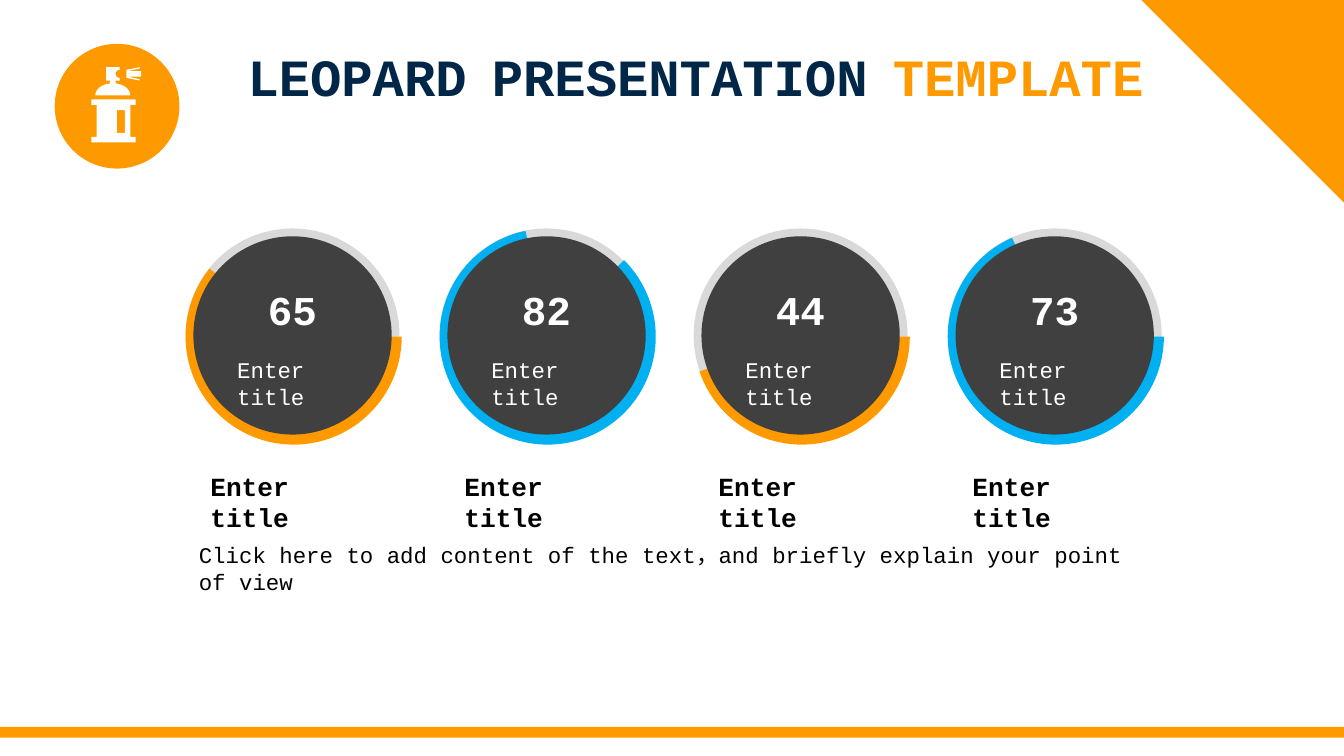
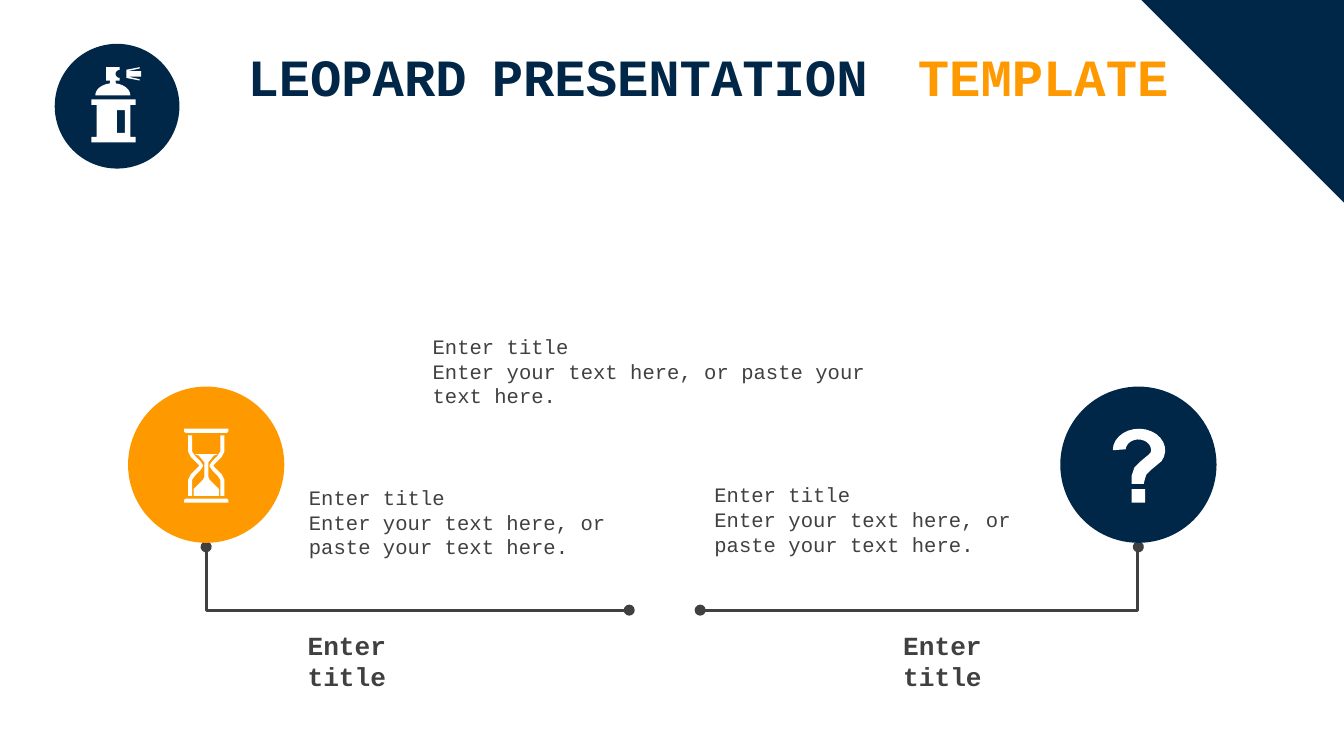
from dataclasses import dataclass
from math import cos, radians, sin

from lxml.etree import SubElement
from pptx import Presentation
from pptx.dml.color import RGBColor
from pptx.enum.shapes import MSO_CONNECTOR, MSO_SHAPE
from pptx.enum.text import MSO_ANCHOR, PP_ALIGN
from pptx.oxml.ns import qn
from pptx.shapes.autoshape import Shape
from pptx.slide import Slide
from pptx.text.text import TextFrame
from pptx.util import Pt

FONT = "Courier New"
COLORS = {
    "orange": "FF9900",
    "navy": "002748",
    "blue": "00B0F0",
    "track": "D9D9D9",
    "dark": "404040",
    "white": "FFFFFF",
    "black": "000000",
}
SLIDE_WIDTH, SLIDE_HEIGHT = 720, 405
LINE_HEIGHT = 1.2
PLACEHOLDER = "Enter title"
BODY_LINES = (PLACEHOLDER, "Enter your text here, or paste your text here.")
SUMMARY = "Click here to add content of the text，and briefly explain your point of view"

Contour = list[tuple[float, float]]
Icon = list[list[Contour]]
ICON_UNIT = 0.72
ICON_PRECISION = 20

TITLE_SIZE = 28
SECOND_TITLE_GAP = 6.72
BADGE_SIZE = 66.8
CORNER_SIZE = 110.9

GAUGE_LEFT, GAUGE_TOP, GAUGE_PITCH = 99.4, 122.4, 136.1
TRACK_SIZE, ARC_SIZE, DISC_SIZE = 114.6, 115.8, 106.2

BRANCH_TOP, BRANCH_SIZE = 207.1, 83.7
BRANCH_LINE_TOP, BRANCH_LINE_BOTTOM = 293, 326.9
BRANCH_LABEL_TOP = 333.4


@dataclass(frozen=True)
class TextStyle:
    size: float
    color: str
    bold: bool = False
    align: PP_ALIGN = PP_ALIGN.LEFT


@dataclass(frozen=True)
class TextBlock:
    left: float
    top: float
    width: float
    height: float
    lines: tuple[str, ...]
    style: TextStyle
    inset: float = 7.2


@dataclass(frozen=True)
class Gauge:
    value: str
    sweep: float
    color: str
    rotation: float = 0


@dataclass(frozen=True)
class Branch:
    circle_left: float
    line_end: float
    color: str
    icon: Icon
    body_left: float
    body_top: float
    label_left: float


VALUE_STYLE = TextStyle(21.9, "white", bold=True, align=PP_ALIGN.CENTER)
CAPTION_STYLE = TextStyle(12, "white")
LABEL_STYLE = TextStyle(14, "black", bold=True)
SUMMARY_STYLE = TextStyle(12, "black")
BODY_STYLE = TextStyle(11, "dark")
BRANCH_LABEL_STYLE = TextStyle(14, "dark", bold=True)


def box(left: float, top: float, right: float, bottom: float) -> Contour:
    return [(left, top), (left, bottom), (right, bottom), (right, top)]


def arc(center_x: float, center_y: float, radius_x: float, radius_y: float,
        start: float, end: float, steps: int = 16) -> Contour:
    angles = [radians(start + (end - start) * step / steps) for step in range(steps + 1)]
    return [(center_x + radius_x * cos(angle), center_y + radius_y * sin(angle))
            for angle in angles]


def flip_across(half: Contour, axis: float) -> Contour:
    return [(2 * axis - x, y) for x, y in reversed(half)]


def flip_down(half: Contour, axis: float) -> Contour:
    return [(x, 2 * axis - y) for x, y in reversed(half)]


def spray_can() -> Icon:
    body_side = [(101, 74), (101, 78), (97, 78), (97, 102), (101, 102), (101, 106)]
    body = body_side + flip_across(body_side, axis=84.5)
    window = box(87, 82, 93, 99)
    upper_spray = [(94, 52), (104, 50), (104, 51), (95, 53), (105, 53)]
    spray = upper_spray + flip_down(upper_spray, axis=55)
    dome_side = arc(84, 71, 13, 9, 0, -80) + [(86, 60)]
    bite = arc(89, 55, 3, 3, 90, 270)
    nozzle = [(89, 60), *bite, (89, 50), (79, 50), (79, 60)]
    head = dome_side + nozzle + flip_across(dome_side, axis=84)
    return [[body, window, spray, head]]


def hourglass() -> Icon:
    center_x, center_y = 153.5, 346.5
    cap_side = [(170, 319), (170, 321), (169, 322)]
    cap = cap_side + flip_across(cap_side, center_x)
    upper_wall = [(148, 346), (147, 345), (142, 340), (140, 336), (140, 324),
                  (143, 324), (143, 336), (145, 339), (149, 343), (151, 346)]
    wall = upper_wall + flip_down(upper_wall, center_y)
    sand_side = [(162, 338), (159, 339), (155, 344), (155, 355), (156, 357),
                 (163, 364), (163, 369)]
    sand = sand_side + flip_across(sand_side, center_x)
    return [[cap, flip_down(cap, center_y)], [wall, flip_across(wall, center_x)], [sand]]


def question_mark() -> Icon:
    outer_bow = arc(847.5, 335, 19.5, 16, 180, 390)
    stem = [(856, 350), (853, 353), (852, 356), (851, 360), (842, 360),
            (842, 354), (844, 348), (849, 343), (855, 338)]
    inner_bow = arc(847, 335, 9.5, 8, 10, -175)
    return [[outer_bow + stem + inner_bow, box(842, 364, 852, 374)]]


GAUGES = (
    Gauge("65", 131.37, "orange"),
    Gauge("82", 181.89, "blue", rotation=315),
    Gauge("44", 96.68, "orange"),
    Gauge("73", 147.66, "blue"),
)
BRANCHES = (
    Branch(circle_left=568, line_end=375.1, color="navy", icon=question_mark(),
           body_left=375.6, body_top=254.9, label_left=476.8),
    Branch(circle_left=68.6, line_end=337.1, color="orange", icon=hourglass(),
           body_left=158.4, body_top=256.3, label_left=157.7),
)


def rgb(color: str) -> RGBColor:
    return RGBColor.from_string(COLORS[color])


def paint(shape: Shape, color: str) -> None:
    shape.shadow.inherit = False
    shape.fill.solid()
    shape.fill.fore_color.rgb = rgb(color)
    shape.line.fill.background()


def add_preset(slide: Slide, preset: MSO_SHAPE, left: float, top: float,
               width: float, height: float, color: str) -> Shape:
    shape = slide.shapes.add_shape(preset, Pt(left), Pt(top), Pt(width), Pt(height))
    paint(shape, color)
    return shape


def add_circle(slide: Slide, left: float, top: float, size: float, color: str) -> None:
    add_preset(slide, MSO_SHAPE.OVAL, left, top, size, size, color)


def add_icon(slide: Slide, icon: Icon) -> None:
    for contours in icon:
        first, *others = [[(x * ICON_PRECISION, y * ICON_PRECISION) for x, y in contour]
                          for contour in contours]
        builder = slide.shapes.build_freeform(*first[0], scale=Pt(ICON_UNIT) / ICON_PRECISION)
        builder.add_line_segments(first[1:])
        for contour in others:
            builder.move_to(*contour[0])
            builder.add_line_segments(contour[1:])
        paint(builder.convert_to_shape(), "white")


def set_insets(frame: TextFrame, side: float) -> None:
    frame.margin_left = frame.margin_right = Pt(side)
    frame.margin_top = frame.margin_bottom = Pt(side / 2)
    frame.vertical_anchor = MSO_ANCHOR.TOP


def add_text(slide: Slide, block: TextBlock) -> None:
    style = block.style
    textbox = slide.shapes.add_textbox(Pt(block.left), Pt(block.top),
                                       Pt(block.width), Pt(block.height))
    frame = textbox.text_frame
    frame.word_wrap = True
    set_insets(frame, block.inset)
    frame.text = "\n".join(block.lines)
    for paragraph in frame.paragraphs:
        paragraph.alignment = style.align
        paragraph.line_spacing = Pt(LINE_HEIGHT * style.size)
        paragraph.font.name = FONT
        paragraph.font.size = Pt(style.size)
        paragraph.font.bold = style.bold
        paragraph.font.color.rgb = rgb(style.color)


def add_title(slide: Slide, extra_gap: float) -> None:
    textbox = slide.shapes.add_textbox(Pt(128.2), Pt(21.6), Pt(430.6), Pt(72))
    frame = textbox.text_frame
    frame.word_wrap = False
    set_insets(frame, 4.4)
    paragraph = frame.paragraphs[0]
    paragraph.line_spacing = Pt(LINE_HEIGHT * TITLE_SIZE)
    paragraph.font.name = FONT
    paragraph.font.size = Pt(TITLE_SIZE)
    paragraph.font.bold = True
    for text, color, spacing in (("LEOPARD PRESENTATION", "navy", 0),
                                 (" ", "navy", extra_gap),
                                 ("TEMPLATE", "orange", 0)):
        run = paragraph.add_run()
        run.text = text
        run.font.color.rgb = rgb(color)
        properties = run.font._element
        properties.set("cap", "small")
        if spacing:
            properties.set("spc", str(round(spacing * 100)))


def add_framed_slide(presentation: Presentation, color: str, extra_gap: float = 0) -> Slide:
    slide = presentation.slides.add_slide(presentation.slide_layouts[6])
    add_circle(slide, 29.3, 23.5, BADGE_SIZE, color)
    add_icon(slide, spray_can())
    corner = add_preset(slide, MSO_SHAPE.RIGHT_TRIANGLE, 610.8, -0.7,
                        CORNER_SIZE, CORNER_SIZE, color)
    corner.rotation = 180
    add_title(slide, extra_gap)
    return slide


def add_gauge(slide: Slide, gauge: Gauge, left: float) -> None:
    disc_inset = (TRACK_SIZE - DISC_SIZE) / 2
    center = left + TRACK_SIZE / 2
    add_circle(slide, left, GAUGE_TOP, TRACK_SIZE, "track")
    pie = add_preset(slide, MSO_SHAPE.PIE, left, GAUGE_TOP, ARC_SIZE, ARC_SIZE, gauge.color)
    pie.adjustments[0] = 0
    pie.adjustments[1] = gauge.sweep
    pie.rotation = gauge.rotation
    add_circle(slide, left + disc_inset, GAUGE_TOP + disc_inset, DISC_SIZE, "dark")
    for text, style, top, width, height in (
        (gauge.value, VALUE_STYLE, 149, 53.3, 31),
        (PLACEHOLDER, CAPTION_STYLE, 187.2, 73.4, 36),
        (PLACEHOLDER, LABEL_STYLE, 248.4, 102.2, 41),
    ):
        add_text(slide, TextBlock(center - width / 2, top, width, height, (text,), style))


def add_branch(slide: Slide, branch: Branch) -> None:
    center = branch.circle_left + BRANCH_SIZE / 2
    connector = slide.shapes.add_connector(
        MSO_CONNECTOR.ELBOW, Pt(center), Pt(BRANCH_LINE_TOP),
        Pt(branch.line_end), Pt(BRANCH_LINE_BOTTOM))
    connector.line.color.rgb = rgb("dark")
    connector.line.width = Pt(1.5)
    properties = connector._element.spPr
    guides = properties.find(qn("a:prstGeom")).get_or_add_avLst()
    SubElement(guides, qn("a:gd"), name="adj1", fmla="val 200")
    line = properties.find(qn("a:ln"))
    for end in ("a:headEnd", "a:tailEnd"):
        SubElement(line, qn(end), type="oval")
    SubElement(properties, qn("a:effectLst"))
    add_circle(slide, branch.circle_left, BRANCH_TOP, BRANCH_SIZE, branch.color)
    add_icon(slide, branch.icon)
    add_text(slide, TextBlock(branch.body_left, branch.body_top, 179, 43.9,
                              BODY_LINES, BODY_STYLE))
    add_text(slide, TextBlock(branch.label_left, BRANCH_LABEL_TOP, 75.6, 38.9,
                              (PLACEHOLDER,), BRANCH_LABEL_STYLE))


def build_gauge_slide(presentation: Presentation) -> None:
    slide = add_framed_slide(presentation, "orange")
    for index, gauge in enumerate(GAUGES):
        add_gauge(slide, gauge, GAUGE_LEFT + index * GAUGE_PITCH)
    add_text(slide, TextBlock(99.4, 286.6, 522, 51, (SUMMARY,), SUMMARY_STYLE))
    add_preset(slide, MSO_SHAPE.RECTANGLE, 0, 389.4, SLIDE_WIDTH, 5.9, "orange")


def build_branch_slide(presentation: Presentation) -> None:
    slide = add_framed_slide(presentation, "navy", SECOND_TITLE_GAP)
    for branch in BRANCHES:
        add_branch(slide, branch)
    add_text(slide, TextBlock(226.8, 176.4, 260, 53.3, BODY_LINES, BODY_STYLE, inset=5))


def main() -> None:
    presentation = Presentation()
    presentation.slide_width, presentation.slide_height = Pt(SLIDE_WIDTH), Pt(SLIDE_HEIGHT)
    build_gauge_slide(presentation)
    build_branch_slide(presentation)
    presentation.save("out.pptx")


if __name__ == "__main__":
    main()
